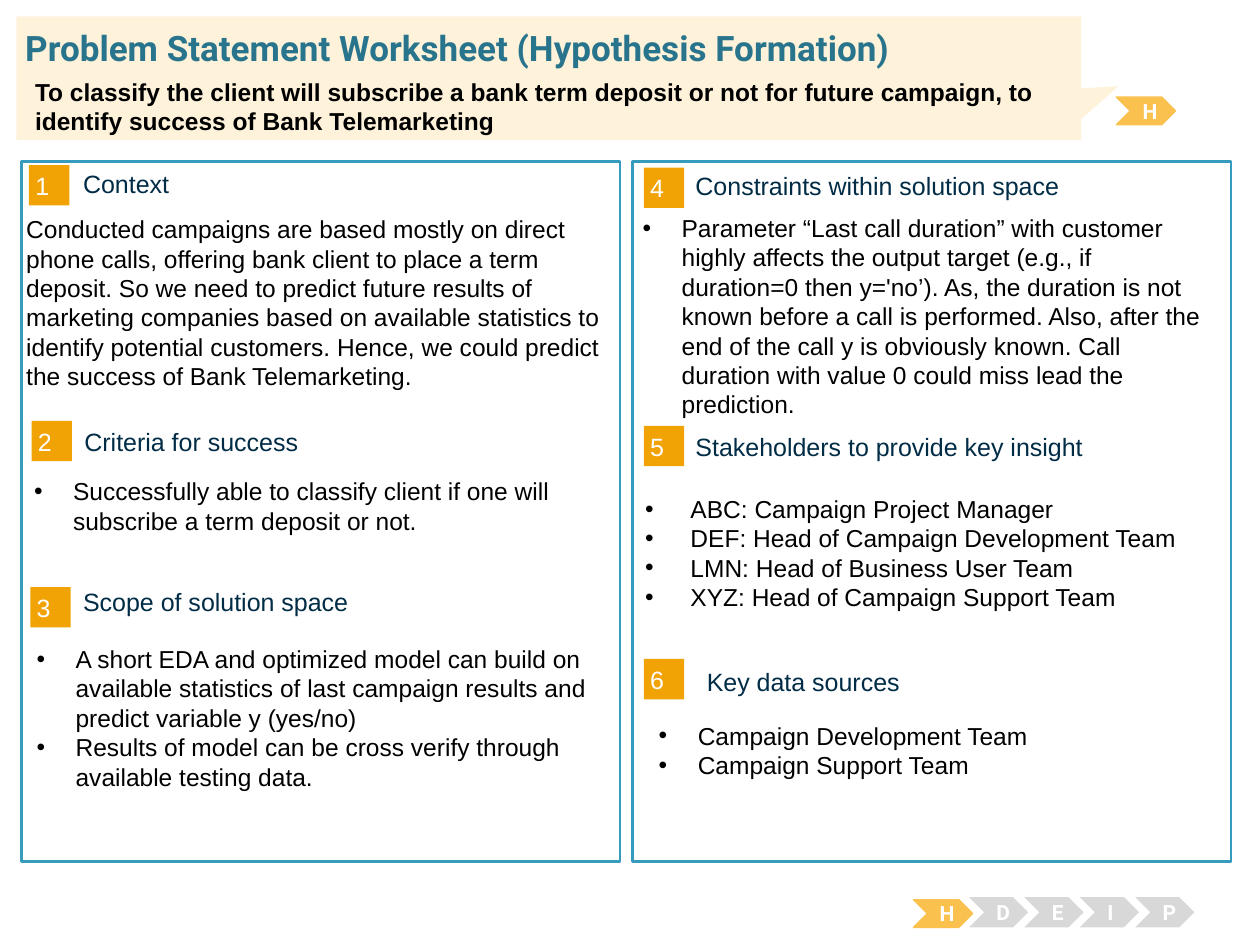
import pptx
import pptx.dml.color
import pptx.enum.shapes
import pptx.enum.text
import pptx.oxml.ns
import pptx.util

RGB = pptx.dml.color.RGBColor
KIND = pptx.enum.shapes.MSO_SHAPE
ALIGN = pptx.enum.text.PP_ALIGN
ANCHOR = pptx.enum.text.MSO_ANCHOR
WHITE = RGB(0xFF, 0xFF, 0xFF)
BLACK = RGB(0, 0, 0)
NAVY = RGB(0x00, 0x2C, 0x46)
TEAL = RGB(0x29, 0x74, 0x8D)
BLUE = RGB(0x37, 0x9B, 0xBD)
ORANGE = RGB(0xF1, 0xA2, 0x05)
GOLD = RGB(0xFB, 0xC1, 0x4E)
GREY = RGB(0xD8, 0xD8, 0xD8)
CREAM = RGB(0xFE, 0xF2, 0xDA)

BODY = {"name": "Arial", "size": pptx.util.Pt(14), "bold": False}
HEAD = {**BODY, "size": pptx.util.Pt(14.3)}
LEAD = {**BODY, "bold": True}
MARK = {"name": "Roboto", "size": pptx.util.Pt(12), "bold": True}
TITLE = {**MARK, "size": pptx.util.Pt(20)}
SIDES = ("margin_left", "margin_top", "margin_right", "margin_bottom")
WIDE = (1, 0.5, 1, 0.5)
EVEN = (0.5,) * 4
NONE = (0,) * 4


class Sheet:
    """Builds one slide on a grid of 100 columns by 75 rows."""

    def __init__(self, deck):
        self.unit = deck.slide_width / 100
        self.slide = deck.slides.add_slide(deck.slide_layouts[4])
        self.shapes = self.slide.shapes
        self.slots = [slot for slot in self.slide.placeholders
                      if slot != self.shapes.title]

    def span(self, *cells):
        return [round(cell * self.unit) for cell in cells]

    def apply(self, thing, values):
        for name, value in values.items():
            setattr(thing, name, value)

    def label(self, shape, lines, font, ink, pad=WIDE, anchor=ANCHOR.TOP,
              align=ALIGN.LEFT, hang=None):
        frame = shape.text_frame
        self.apply(frame, {**dict(zip(SIDES, self.span(*pad))),
                           "auto_size": pptx.enum.text.MSO_AUTO_SIZE.NONE,
                           "word_wrap": True, "vertical_anchor": anchor})
        frame.text = "\n".join(lines)
        for para in frame.paragraphs:
            self.apply(para, {"alignment": align,
                              "space_before": pptx.util.Pt(0)})
            for run in para.runs:
                self.apply(run.font, font)
                run.font.color.rgb = ink
            if hang:
                self.dot(para, hang)

    def dot(self, para, hang):
        props = para._p.get_or_add_pPr()
        inch = self.span(hang)[0]
        props.set("marL", str(inch))
        props.set("indent", str(-inch))
        for tag, key, value in (("a:buFont", "typeface", "Arial"),
                                ("a:buChar", "char", "•")):
            item = props.makeelement(pptx.oxml.ns.qn(tag), {key: value})
            props.append(item)

    def place(self, slot, spot):
        self.apply(slot, dict(zip(("left", "top", "width", "height"),
                                  self.span(*spot))))
        slot.element.getparent().append(slot.element)
        return slot

    def title(self, spot, text):
        self.label(self.place(self.shapes.title, spot), [text], TITLE, TEAL,
                   NONE, ANCHOR.MIDDLE)

    def list(self, spot, lines, hang=3.1):
        if self.slots:
            box = self.place(self.slots.pop(0), spot)
        else:
            box = self.shapes.add_textbox(*self.span(*spot))
        self.label(box, lines, BODY, BLACK, hang=hang)

    def text(self, spot, text, font=BODY, ink=BLACK, **rest):
        box = self.shapes.add_textbox(*self.span(*spot))
        self.label(box, [text], font, ink, **rest)

    def block(self, kind, spot, fill, line=None, weight=0.75):
        shape = self.shapes.add_shape(kind, *self.span(*spot))
        shape.shadow.inherit = False
        shape.fill.solid()
        shape.fill.fore_color.rgb = fill
        if line:
            shape.line.color.rgb = line
            shape.line.width = pptx.util.Pt(weight)
        else:
            shape.line.fill.background()
        return shape

    def badge(self, left, top, mark):
        box = self.block(KIND.RECTANGLE, (left, top, 3.2, 3.2), ORANGE)
        self.label(box, [mark], HEAD, WHITE, EVEN, ANCHOR.MIDDLE)

    def step(self, left, top, mark, live=False):
        high = 2.2 if live else 2.4
        box = self.block(KIND.CHEVRON, (left, top, 4.7, high),
                         GOLD if live else GREY, GOLD if live else None)
        self.label(box, [mark], MARK, WHITE, WIDE, ANCHOR.MIDDLE,
                   ALIGN.CENTER)


PARTS = (
    ((2.3, 13.1), (6.6, 13.3), "Context"),
    ((2.5, 33.4), (6.7, 33.8), "Criteria for success"),
    ((2.4, 46.6), (6.6, 46.5), "Scope of solution space"),
    ((51.1, 13.3), (55.2, 13.5), "Constraints within solution space"),
    ((51.1, 33.8), (55.2, 34.2), "Stakeholders to provide key insight"),
    ((51.1, 52.3), (56.1, 52.8), "Key data sources"),
)
LISTS = (
    ((1.7, 37.3, 47.3, 7.1), 3.1, [
        "Successfully able to classify client if one will subscribe a term "
        "deposit or not."]),
    ((1.9, 50.6, 47.3, 19), 3.1, [
        "A short EDA and optimized model can build on available statistics "
        "of last campaign results and predict variable y (yes/no)",
        "Results of model can be cross verify through available testing "
        "data."]),
    ((50, 16.4, 47.3, 15.4), 3.1, [
        "Parameter “Last call duration” with customer highly affects the "
        "output target (e.g., if duration=0 then y='no’). As, the duration "
        "is not known before a call is performed. Also, after the end of the "
        "call y is obviously known. Call duration with value 0 could miss "
        "lead the prediction."]),
    ((50.2, 38.7, 47.3, 14.1), 3.6, [
        "ABC: Campaign Project Manager",
        "DEF: Head of Campaign Development Team",
        "LMN: Head of Business User Team",
        "XYZ: Head of Campaign Support Team"]),
    ((51.3, 56.7, 47.3, 10.9), 3.1, [
        "Campaign Development Team", "Campaign Support Team"]),
)


def main():
    deck = pptx.Presentation()
    deck.slide_width = pptx.util.Inches(10)
    deck.slide_height = pptx.util.Inches(7.5)
    sheet = Sheet(deck)
    for left in (1.7, 50.2):
        sheet.block(KIND.RECTANGLE, (left, 12.8, 47.5, 55.6), WHITE, BLUE, 1.5)
    for count, (badge, head, name) in enumerate(PARTS, 1):
        sheet.badge(*badge, str(count))
        sheet.text((*head, 39.3, 2.5), name, HEAD, NAVY, pad=NONE,
                   anchor=ANCHOR.MIDDLE)
    sheet.text((1.1, 16.5, 48.9, 16.2),
               "Conducted campaigns are based mostly on direct phone calls, "
               "offering bank client to place a term deposit. So we need to "
               "predict future results of marketing companies based on "
               "available statistics to identify potential customers. Hence, "
               "we could predict the success of Bank Telemarketing.")
    for spot, hang, lines in LISTS:
        sheet.list(spot, lines, hang)
    for index, mark in enumerate("HDEIP"):
        live = index == 0
        sheet.step(72.5 + 4.4 * index, 71.4 if live else 71.2, mark, live)
    sheet.step(88.6, 7.7, "H", True)
    flag = sheet.block(KIND.RECTANGULAR_CALLOUT, (1.3, 1.3, 84.5, 9.8), CREAM)
    flag.adjustments[0] = 0.535
    flag.adjustments[1] = 0.066
    sheet.title((2, 2.1, 96.2, 3.4),
                "Problem Statement Worksheet (Hypothesis Formation)")
    sheet.text((1.8, 5.6, 85.3, 5.7),
               "To classify the client will subscribe a bank term deposit or "
               "not for future campaign, to identify success of Bank "
               "Telemarketing", LEAD)
    deck.save("out.pptx")


if __name__ == "__main__":
    main()
